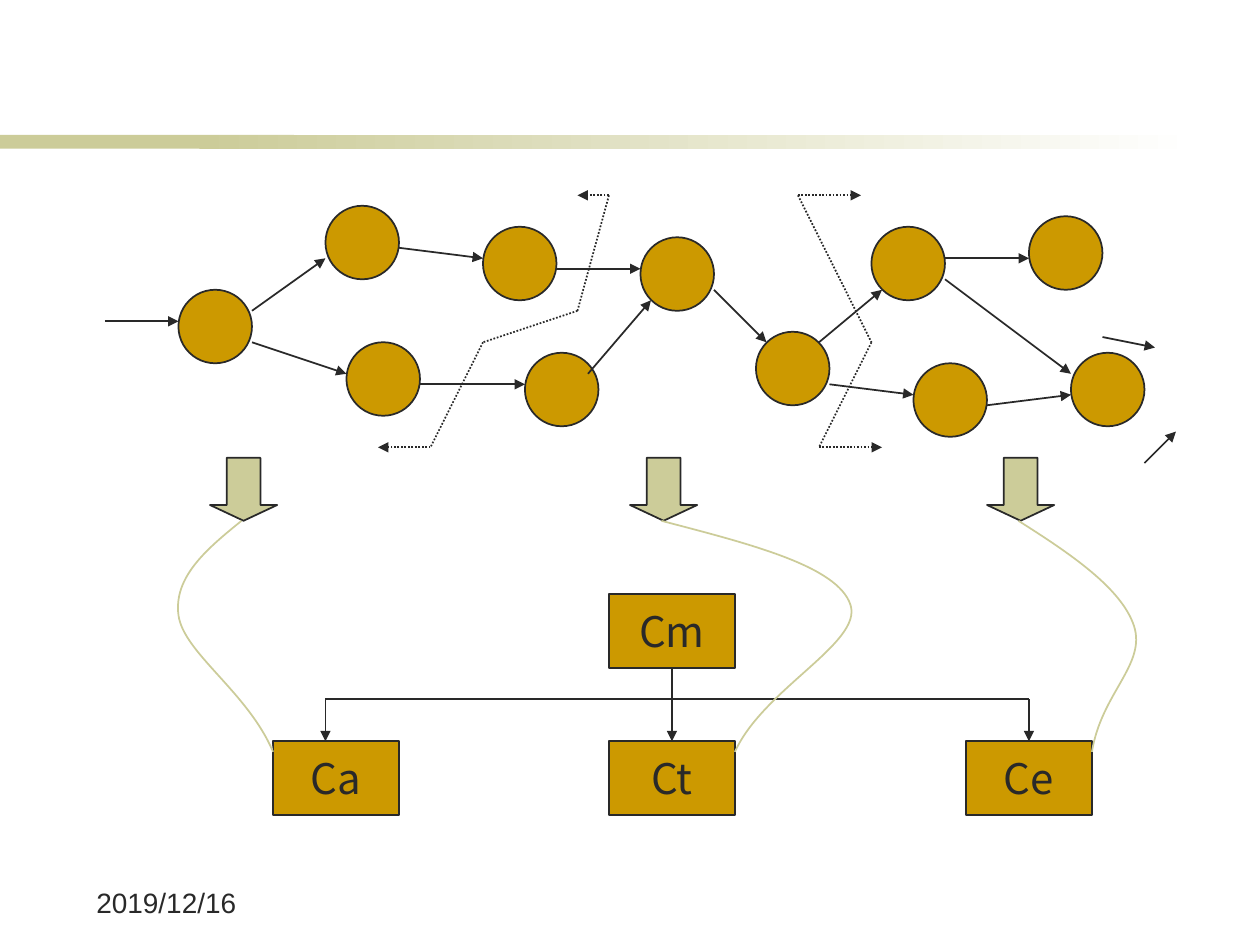
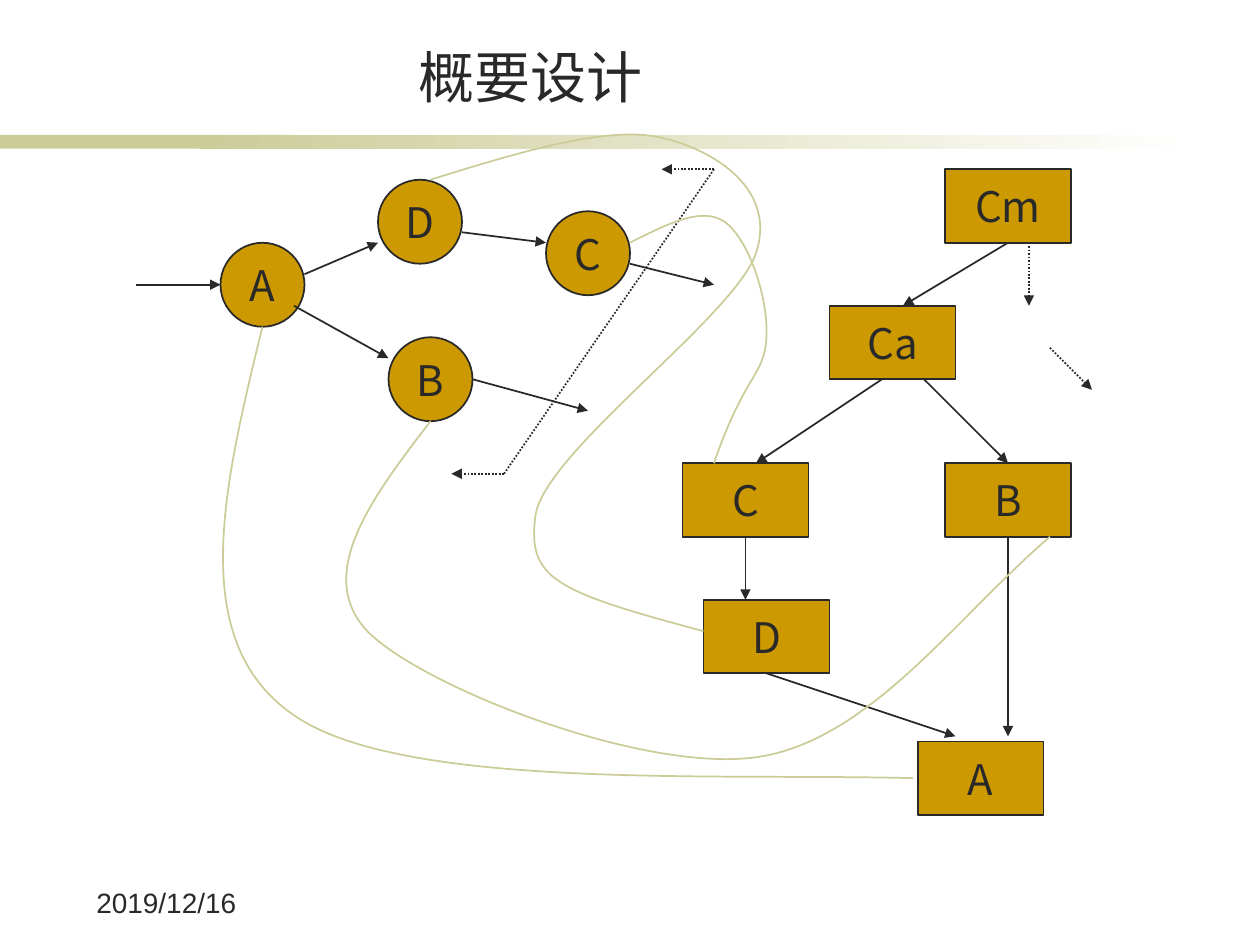
import itertools
from dataclasses import dataclass

import lxml.etree
import pptx
import pptx.dml.color
import pptx.enum.dml
import pptx.enum.shapes
import pptx.enum.text
import pptx.oxml.ns
import pptx.util

SHAPES = pptx.enum.shapes.MSO_SHAPE
ALIGN = pptx.enum.text.PP_ALIGN
ANCHOR = pptx.enum.text.MSO_ANCHOR
qn = pptx.oxml.ns.qn


@dataclass(frozen=True)
class Theme:
    ink: str = "292929"
    gold: str = "CC9900"
    sage: str = "CCCC99"
    paper: str = "FFFFFF"
    latin: str = "Arial"
    cjk: str = "Noto Sans CJK SC"
    title_size: int = 32
    node_size: int = 24
    date_size: int = 16
    stroke: int = 1


class Deck:
    CELLS_PER_INCH = 12
    MODULE = (12, 7)

    def __init__(self, theme):
        self.theme = theme
        self.presentation = pptx.Presentation()
        self.presentation.slide_width = pptx.util.Inches(10)
        self.presentation.slide_height = pptx.util.Inches(7.5)
        self.slide = None
        self.top = 0

    def start_slide(self, top, title=None):
        self.slide = self.presentation.slides.add_slide(self.presentation.slide_layouts[6])
        self.top = 0
        self.band()
        self.text((8, 83.76), (16.92, 4.68), "2019/12/16", self.theme.date_size)
        if title:
            self.text((13.68, 3.48), (73.68, 7.56), title, self.theme.title_size,
                      ALIGN.CENTER, ANCHOR.BOTTOM)
        self.top = top

    def length(self, cells):
        return pptx.util.Inches(cells / self.CELLS_PER_INCH)

    def point(self, spot):
        column, row = spot
        return self.length(column), self.length(row) + pptx.util.Inches(self.top)

    def color(self, value):
        return pptx.dml.color.RGBColor.from_string(value)

    def outline(self, line, color):
        line.color.rgb = self.color(color)
        line.width = pptx.util.Pt(self.theme.stroke)

    def add_words(self, frame, words, size, font, align, anchor):
        frame.vertical_anchor = anchor
        paragraph = frame.paragraphs[0]
        paragraph.alignment = align
        run = paragraph.add_run()
        run.text = words
        run.font.size = pptx.util.Pt(size)
        run.font.name = font
        run.font.color.rgb = self.color(self.theme.ink)

    def text(self, spot, size, words, points, align=ALIGN.LEFT, anchor=ANCHOR.TOP):
        box = self.slide.shapes.add_textbox(*self.point(spot), *map(self.length, size))
        box.text_frame.word_wrap = True
        self.add_words(box.text_frame, words, points, self.theme.latin, align, anchor)

    def shape(self, kind, spot, size, fill, outlined=True):
        shape = self.slide.shapes.add_shape(kind, *self.point(spot), *map(self.length, size))
        shape.shadow.inherit = False
        shape.fill.solid()
        shape.fill.fore_color.rgb = self.color(fill)
        if outlined:
            self.outline(shape.line, self.theme.ink)
        else:
            shape.line.fill.background()
        return shape

    def band(self):
        self.shape(SHAPES.RECTANGLE, (0, 12.84), (28, 1.32), self.theme.sage, False)
        fade = self.shape(SHAPES.RECTANGLE, (19, 12.84), (95, 1.32), self.theme.sage, False)
        fade.fill.gradient()
        fade.fill.gradient_angle = 0
        stops = zip(fade.fill.gradient_stops, (self.theme.sage, self.theme.paper))
        for position, (stop, color) in enumerate(stops):
            stop.position = position
            stop.color.rgb = self.color(color)

    def label(self, shape, words):
        shape.text_frame.word_wrap = False
        self.add_words(shape.text_frame, words, self.theme.node_size, self.theme.cjk,
                       ALIGN.CENTER, ANCHOR.MIDDLE)
        return shape

    def process(self, spot, diameter, words=None):
        circle = self.shape(SHAPES.OVAL, spot, (diameter, diameter), self.theme.gold)
        if words:
            self.label(circle, words)

    def module(self, spot, words):
        return self.label(self.shape(SHAPES.RECTANGLE, spot, self.MODULE, self.theme.gold), words)

    def mapping_arrow(self, spot):
        arrow = self.shape(SHAPES.DOWN_ARROW, spot, (6.4, 6), self.theme.sage)
        arrow.adjustments[0] = 0.5
        arrow.adjustments[1] = 0.25

    def line(self, start, end, head=True, dotted=False, caller=None, called=None):
        connector = self.slide.shapes.add_connector(
            pptx.enum.shapes.MSO_CONNECTOR.STRAIGHT, *self.point(start), *self.point(end))
        if caller is not None:
            connector.begin_connect(caller, 2)
        if called is not None:
            connector.end_connect(called, 0)
        self.outline(connector.line, self.theme.ink)
        if dotted:
            connector.line.dash_style = pptx.enum.dml.MSO_LINE.ROUND_DOT
        properties = connector.element.spPr
        if head:
            lxml.etree.SubElement(properties.find(qn("a:ln")), qn("a:tailEnd"), type="triangle")
        lxml.etree.SubElement(properties, qn("a:effectLst"))

    def flows(self, routes):
        for start, end in routes:
            self.line(start, end)

    def boundary(self, corners):
        self.line(corners[1], corners[0], dotted=True)
        for start, end in itertools.pairwise(corners[1:-1]):
            self.line(start, end, head=False, dotted=True)
        self.line(corners[-2], corners[-1], dotted=True)

    def curve(self, controls, fill=None):
        start, *rest = map(self.point, controls)
        builder = self.slide.shapes.build_freeform(*start)
        builder.add_line_segments(rest, close=False)
        shape = builder.convert_to_shape()
        steps = list(shape.element.iter(qn("a:lnTo")))
        for first, second, third in zip(steps[::3], steps[1::3], steps[2::3]):
            first.tag = qn("a:cubicBezTo")
            for step in (second, third):
                first.append(step[0])
                step.getparent().remove(step)
        shape.shadow.inherit = False
        self.outline(shape.line, self.theme.sage)
        if fill:
            shape.fill.solid()
            shape.fill.fore_color.rgb = self.color(fill)
        else:
            shape.fill.background()


def transform_mapping(deck):
    deck.start_slide(top=0.05)
    deck.flows([((105, 31.5), (110, 32.5)), ((109, 43.5), (112, 40.5))])
    for spot in [(17, 27), (46, 21), (31, 19), (33, 32), (50, 33), (61, 22),
                 (102, 33), (98, 20), (87, 34), (83, 21), (72, 31)]:
        deck.process(spot, 7)
    deck.flows([
        ((10, 30), (17, 30)), ((24, 29), (31, 24)), ((24, 32), (33, 35)),
        ((38, 23), (46, 24)), ((40, 36), (50, 36)), ((53, 25), (61, 25)),
        ((56, 35), (62, 28)), ((68, 27), (73, 32)), ((79, 36), (87, 37)),
        ((78, 32), (84, 27)), ((90, 24), (98, 24)), ((90, 26), (102, 35)),
        ((94, 38), (102, 37)),
    ])
    deck.boundary([(55, 18), (58, 18), (55, 29), (46, 32), (41, 42), (36, 42)])
    deck.boundary([(82, 18), (76, 18), (83, 32), (78, 42), (84, 42)])
    for column in (20, 60, 94):
        deck.mapping_arrow((column, 43))

    main_control = deck.module((58, 56), "Cm")
    transform = deck.module((58, 70), "Ct")
    deck.module((26, 70), "Ca")
    output = deck.module((92, 70), "Ce")
    deck.curve([(23, 49), (19.8, 51.6), (16.5, 54.3), (17, 58),
                (17.5, 61.6), (23.6, 65.3), (26, 71)], deck.theme.paper)
    deck.line((31, 66), (98, 66), head=False)
    deck.line((31, 66), (31, 70))
    deck.line((64, 63), (64, 70), caller=main_control, called=transform)
    deck.line((98, 66), (98, 70), called=output)
    deck.curve([(63, 49), (71.4, 51.2), (79.8, 53.3), (81, 57),
                (82.2, 60.6), (72.7, 65), (70, 71)])
    deck.curve([(97, 49), (101.9, 52.1), (106.8, 55.4), (108, 59),
                (109.2, 62.7), (104.9, 65.4), (104, 71)])


def input_factoring(deck):
    deck.start_slide(top=0.01, title="概要设计")
    for words, spot in {"B": (37, 32), "C": (52, 20), "D": (36, 17), "A": (21, 23)}.items():
        deck.process(spot, 8, words)
    deck.flows([
        ((13, 27), (21, 27)), ((29, 26), (36, 23)), ((28, 29), (37, 34)),
        ((45, 36), (56, 39)), ((44, 22), (52, 23)), ((60, 25), (68, 27)),
    ])
    deck.boundary([(63, 16), (68, 16), (48, 45), (43, 45)])

    spots = {"Cm": (90, 16), "Ca": (79, 29), "B": (90, 44),
             "C": (65, 44), "A": (87.4, 70.5), "D": (67, 57)}
    structure = {words: deck.module(spot, words) for words, spot in spots.items()}
    deck.line((96, 23), (86, 29), caller=structure["Cm"])
    deck.line((98, 23), (98, 29), dotted=True)
    deck.line((100, 33), (104, 37), dotted=True)
    deck.line((84, 36), (72, 44))
    deck.line((88, 36), (96, 44), called=structure["B"])
    deck.line((71, 51), (71, 57), caller=structure["C"])
    deck.line((73, 64), (91, 70), caller=structure["D"])
    deck.line((96, 51), (96, 70), caller=structure["B"])

    deck.curve([(25, 31), (21.4, 45.9), (17.6, 60.9), (28, 68),
                (38.3, 75.2), (68.6, 73.5), (87, 74)])
    deck.curve([(41, 40), (35.4, 47.3), (29.9, 54.6), (35, 60), (40.2, 65.3),
                (61.2, 73.5), (72, 72), (82.8, 70.5), (91, 58.7), (100, 51)])
    deck.curve([(41, 17), (49.4, 14.4), (57.8, 11.8), (63, 13), (68.2, 14.2),
                (74, 18), (72, 24), (70, 30), (51.8, 43), (51, 49),
                (50.2, 55), (52.8, 56.2), (67, 60)])
    deck.curve([(60, 23), (63.4, 21.3), (66.8, 19.5), (69, 21), (71.2, 22.5),
                (73.2, 28.1), (73, 32), (72.8, 35.8), (71, 35.3), (68, 44)])


def main():
    deck = Deck(Theme())
    transform_mapping(deck)
    input_factoring(deck)
    deck.presentation.save("out.pptx")


if __name__ == "__main__":
    main()
